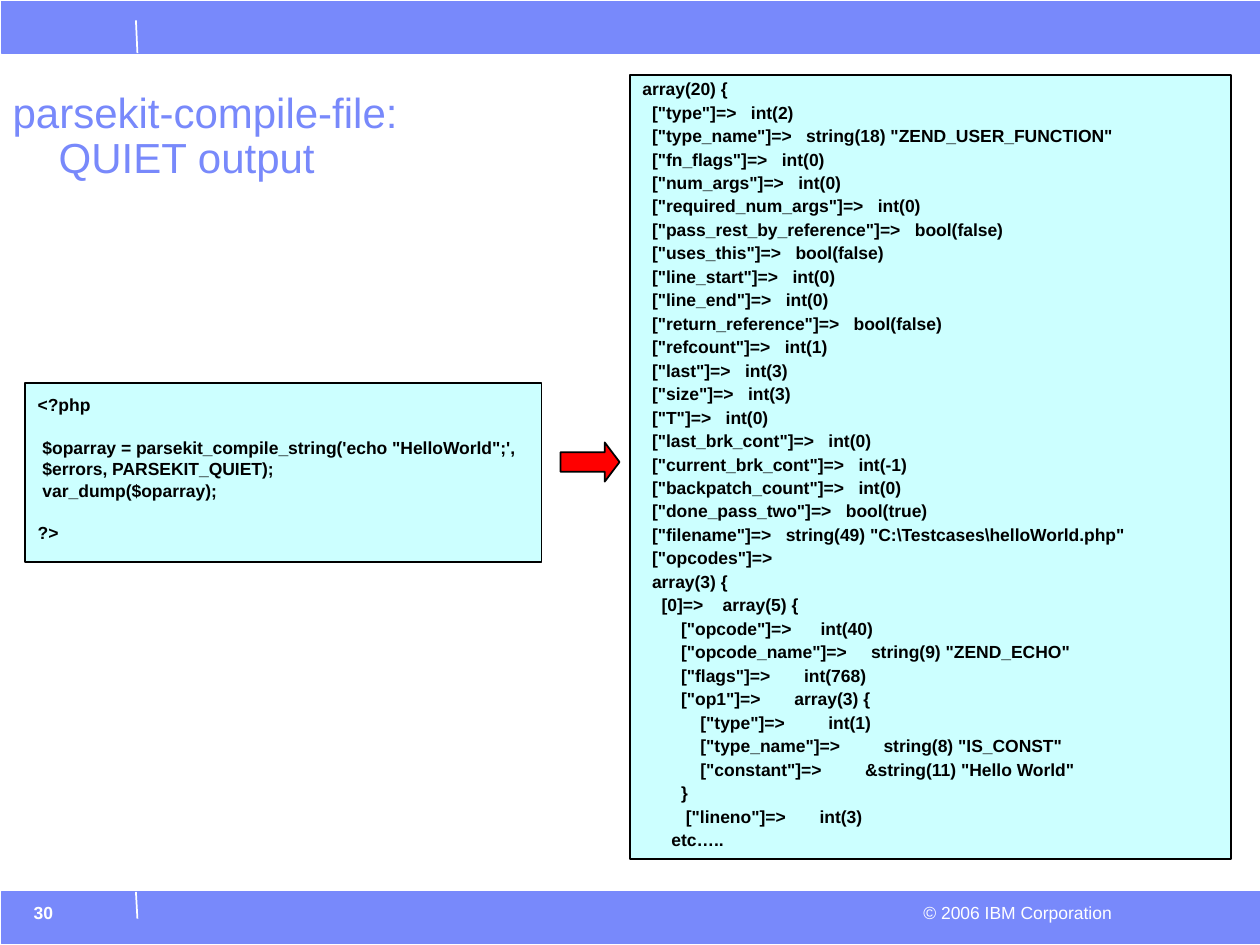
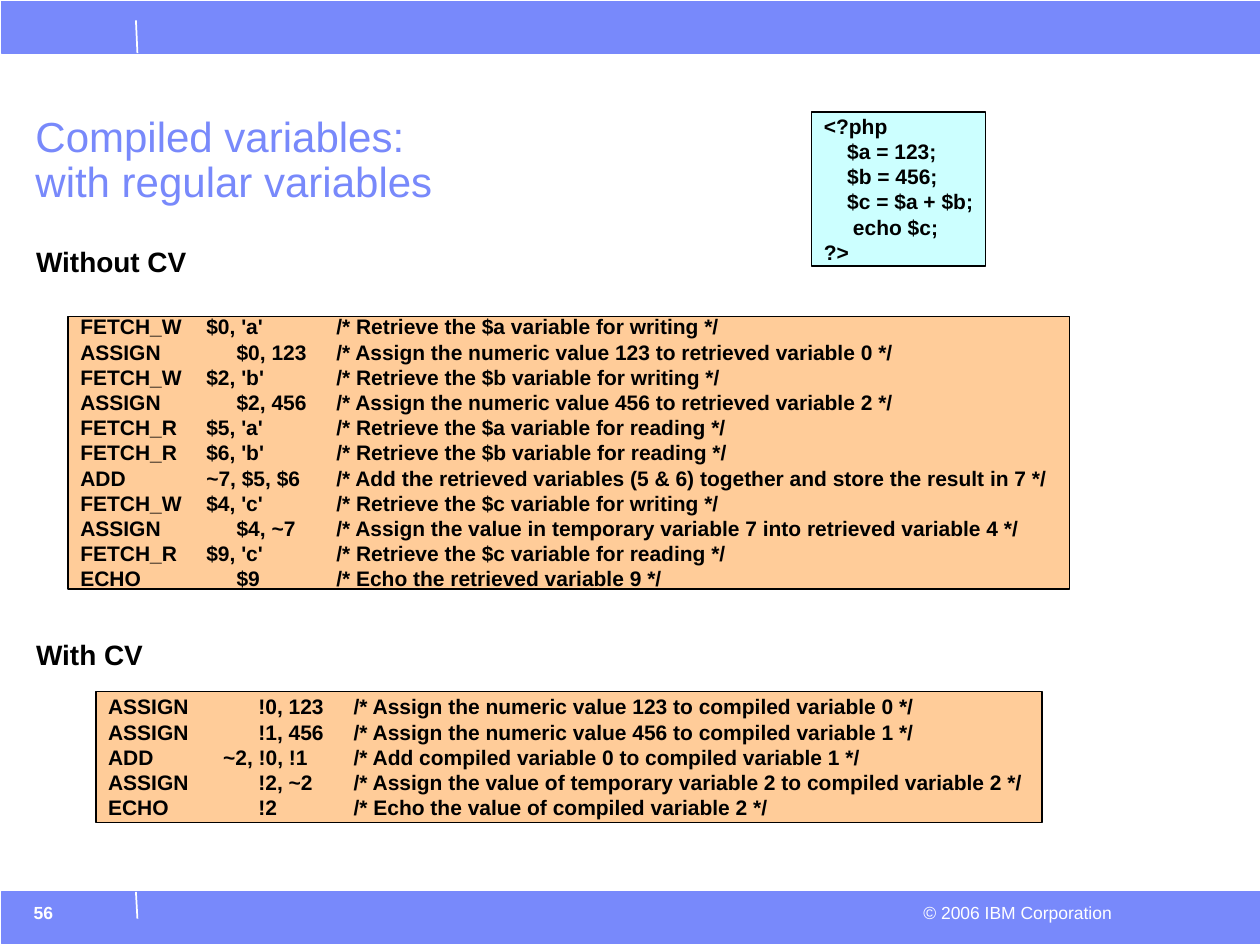
from dataclasses import dataclass

from lxml.etree import SubElement
from pptx import Presentation
from pptx.dml.color import RGBColor
from pptx.enum.shapes import MSO_CONNECTOR, MSO_SHAPE
from pptx.enum.text import MSO_ANCHOR, MSO_AUTO_SIZE, PP_ALIGN
from pptx.oxml.ns import qn
from pptx.util import Cm, Pt


@dataclass(frozen=True)
class Theme:
    font: str = "Arial"
    brand: RGBColor = RGBColor(0x78, 0x89, 0xFB)
    white: RGBColor = RGBColor(0xFF, 0xFF, 0xFF)
    black: RGBColor = RGBColor(0x00, 0x00, 0x00)
    code_fill: RGBColor = RGBColor(0xCC, 0xFF, 0xFF)
    opcode_fill: RGBColor = RGBColor(0xFF, 0xCC, 0x99)
    arrow_fill: RGBColor = RGBColor(0xFF, 0x00, 0x00)
    title_size: int = 24
    heading_size: int = 16
    code_size: int = 12
    small_size: int = 10


class DeckBuilder:
    def __init__(self, theme):
        self.theme = theme
        self.deck = Presentation()
        self.deck.slide_width, self.deck.slide_height = Cm(25.4), Cm(19.05)
        self.page = None

    def new_page(self, number):
        """Start a slide with the shared bands, ticks and footer."""
        theme = self.theme
        self.page = self.deck.slides.add_slide(self.deck.slide_layouts[5])
        for band_top, tick_top, tick_bottom in ((0.03, 0.41, 1.07), (17.98, 17.98, 18.52)):
            self.shape((0.03, band_top, 25.37, 1.04), theme.brand, theme.brand)
            self.tick(tick_top, tick_bottom)
        self.label("© 2006 IBM Corporation", (18.34, 18.06, 4.32, 0.66),
                   theme.small_size, theme.white, bold=False, align=PP_ALIGN.RIGHT)
        self.label(str(number), (0.43, 18.06, 2.79, 0.89), theme.small_size, theme.white)

    def style(self, para, size, color, bold=True, align=PP_ALIGN.LEFT):
        para.alignment = align
        font = para.font
        font.name, font.size, font.bold = self.theme.font, Pt(size), bold
        font.color.rgb = color

    def title(self, text, area, hanging=0):
        box = self.page.shapes.title
        box.left, box.top, box.width, box.height = map(Cm, area)
        frame = box.text_frame
        frame.text = text
        frame.auto_size = MSO_AUTO_SIZE.NONE
        frame.word_wrap = True
        frame.vertical_anchor = MSO_ANCHOR.BOTTOM
        para = frame.paragraphs[0]
        para.line_spacing = 0.9
        if hanging:
            properties = para._p.get_or_add_pPr()
            properties.set("marL", str(Cm(hanging)))
            properties.set("indent", str(-Cm(hanging)))
        self.style(para, self.theme.title_size, self.theme.brand, bold=False)

    def label(self, text, area, size, color, bold=True, align=PP_ALIGN.LEFT):
        box = self.page.shapes.add_textbox(*map(Cm, area))
        box.text_frame.text = text
        self.style(box.text_frame.paragraphs[0], size, color, bold, align)

    def heading(self, text, area):
        self.label(text, area, self.theme.heading_size, self.theme.black)

    def shape(self, area, fill, line, kind=MSO_SHAPE.RECTANGLE):
        shape = self.page.shapes.add_shape(kind, *map(Cm, area))
        shape.shadow.inherit = False
        shape.fill.solid()
        shape.fill.fore_color.rgb = fill
        shape.line.color.rgb = line
        shape.line.width = Pt(1)
        return shape

    def tick(self, top, bottom):
        tick = self.page.shapes.add_connector(
            MSO_CONNECTOR.STRAIGHT, Cm(2.74), Cm(top), Cm(2.77), Cm(bottom))
        tick.line.color.rgb = self.theme.white
        tick.line.width = Pt(1)
        SubElement(tick._element.spPr, qn("a:effectLst"))

    def arrow(self, area):
        arrow = self.shape(area, self.theme.arrow_fill, self.theme.black, MSO_SHAPE.RIGHT_ARROW)
        arrow.adjustments[1] = 0.377

    def code_box(self, code, area, size, fill=None, spacing=None, wrap=True):
        """One paragraph per line; an empty line becomes space before the next.

        spacing is (line spacing, space before in points).
        """
        box = self.shape(area, fill or self.theme.code_fill, self.theme.black)
        frame = box.text_frame
        frame.word_wrap = wrap
        frame.vertical_anchor = MSO_ANCHOR.MIDDLE
        line_spacing, gap = spacing or (1, 0)
        blank_height = size * 1.2 * line_spacing + gap
        blanks = 0
        for index, line in enumerate(code.strip("\n").split("\n")):
            if not line:
                blanks += 1
                continue
            para = frame.add_paragraph() if index else frame.paragraphs[0]
            para.text = line
            para.line_spacing = line_spacing
            if index:
                para.space_before = Pt(round(gap + blanks * blank_height, 1))
            blanks = 0
            self.style(para, size, self.theme.black)
        return box

    def opcode_box(self, rows, area, short_stop, long_stop, comment_stop):
        """Opcode, operands and comment, set apart by tab stops."""
        theme = self.theme
        code = "\n".join(f"{opcode}\t{operands}\t/* {comment} */"
                         for opcode, operands, comment in rows)
        box = self.code_box(code, area, theme.code_size, theme.opcode_fill)
        for para, (opcode, _, _) in zip(box.text_frame.paragraphs, rows):
            operand_stop = long_stop if opcode in ("ASSIGN", "ECHO") else short_stop
            properties = para._p.get_or_add_pPr()
            tabs = SubElement(properties, qn("a:tabLst"))
            properties.find(qn("a:defRPr")).addprevious(tabs)
            for stop in (operand_stop, comment_stop):
                SubElement(tabs, qn("a:tab"), pos=str(Cm(stop)), algn="l")


COMPILE_CODE = """
<?php

 $oparray = parsekit_compile_string('echo "HelloWorld";',
 $errors, PARSEKIT_QUIET);
 var_dump($oparray);

?>
"""

FUNCTION_DUMP = r"""
array(20) {
  ["type"]=>   int(2)
  ["type_name"]=>   string(18) "ZEND_USER_FUNCTION"
  ["fn_flags"]=>   int(0)
  ["num_args"]=>   int(0)
  ["required_num_args"]=>   int(0)
  ["pass_rest_by_reference"]=>   bool(false)
  ["uses_this"]=>   bool(false)
  ["line_start"]=>   int(0)
  ["line_end"]=>   int(0)
  ["return_reference"]=>   bool(false)
  ["refcount"]=>   int(1)
  ["last"]=>   int(3)
  ["size"]=>   int(3)
  ["T"]=>   int(0)
  ["last_brk_cont"]=>   int(0)
  ["current_brk_cont"]=>   int(-1)
  ["backpatch_count"]=>   int(0)
  ["done_pass_two"]=>   bool(true)
"""

OPCODES_DUMP = r"""  ["filename"]=>   string(49) "C:\Testcases\helloWorld.php"
  ["opcodes"]=>
  array(3) {
    [0]=>    array(5) {
        ["opcode"]=>      int(40)
        ["opcode_name"]=>     string(9) "ZEND_ECHO"
        ["flags"]=>       int(768)
        ["op1"]=>       array(3) {
            ["type"]=>         int(1)
            ["type_name"]=>         string(8) "IS_CONST"
            ["constant"]=>         &string(11) "Hello World"
        }
         ["lineno"]=>       int(3)
      etc…..
"""

VARIABLES_CODE = """
<?php
    $a = 123;
    $b = 456;
    $c = $a + $b;
     echo $c;
?>
"""

WITHOUT_CV = [
    ("FETCH_W", "$0, 'a'", "Retrieve the $a variable for writing"),
    ("ASSIGN", "$0, 123", "Assign the numeric value 123 to retrieved variable 0"),
    ("FETCH_W", "$2, 'b'", "Retrieve the $b variable for writing"),
    ("ASSIGN", "$2, 456", "Assign the numeric value 456 to retrieved variable 2"),
    ("FETCH_R", "$5, 'a'", "Retrieve the $a variable for reading"),
    ("FETCH_R", "$6, 'b'", "Retrieve the $b variable for reading"),
    ("ADD", "~7, $5, $6",
     "Add the retrieved variables (5 & 6) together and store the result in 7"),
    ("FETCH_W", "$4, 'c'", "Retrieve the $c variable for writing"),
    ("ASSIGN", "$4, ~7", "Assign the value in temporary variable 7 into retrieved variable 4"),
    ("FETCH_R", "$9, 'c'", "Retrieve the $c variable for reading"),
    ("ECHO", "$9", "Echo the retrieved variable 9"),
]

WITH_CV = [
    ("ASSIGN", "!0, 123", "Assign the numeric value 123 to compiled variable 0"),
    ("ASSIGN", "!1, 456", "Assign the numeric value 456 to compiled variable 1"),
    ("ADD", "~2, !0, !1", "Add compiled variable 0 to compiled variable 1"),
    ("ASSIGN", "!2, ~2", "Assign the value of temporary variable 2 to compiled variable 2"),
    ("ECHO", "!2", "Echo the value of compiled variable 2"),
]


def main():
    theme = Theme()
    builder = DeckBuilder(theme)

    # Quiet output: code on the left, its dump on the right
    builder.new_page(30)
    builder.title("parsekit-compile-file:\vQUIET output", (0, 1.73, 12.5, 2.08), hanging=0.93)
    builder.code_box(COMPILE_CODE, (0.51, 7.72, 10.41, 3.61), theme.small_size,
                     spacing=(0.5, 6.2))
    builder.code_box(FUNCTION_DUMP + OPCODES_DUMP, (12.7, 1.52, 12.12, 15.8),
                     theme.small_size, spacing=(0.6, 6.2))
    builder.arrow((11.3, 8.92, 1.19, 0.79))

    # Compiled variables: opcodes without and with CV
    builder.new_page(56)
    builder.title("Compiled variables:\vwith regular variables", (0.46, 2.13, 9.68, 2.16))
    builder.code_box(VARIABLES_CODE, (16.36, 2.26, 3.51, 3.1), theme.code_size, wrap=False)
    builder.heading("Without CV", (0.48, 4.8, 3.53, 1.52))
    builder.opcode_box(WITHOUT_CV, (1.37, 6.38, 20.19, 5.49), 2.54, 3.15, 5.16)
    builder.heading("With CV", (0.48, 12.73, 2.67, 0.89))
    builder.opcode_box(WITH_CV, (1.93, 13.94, 19.08, 2.64), 2.32, 3.03, 4.95)

    builder.deck.save("out.pptx")


if __name__ == "__main__":
    main()
